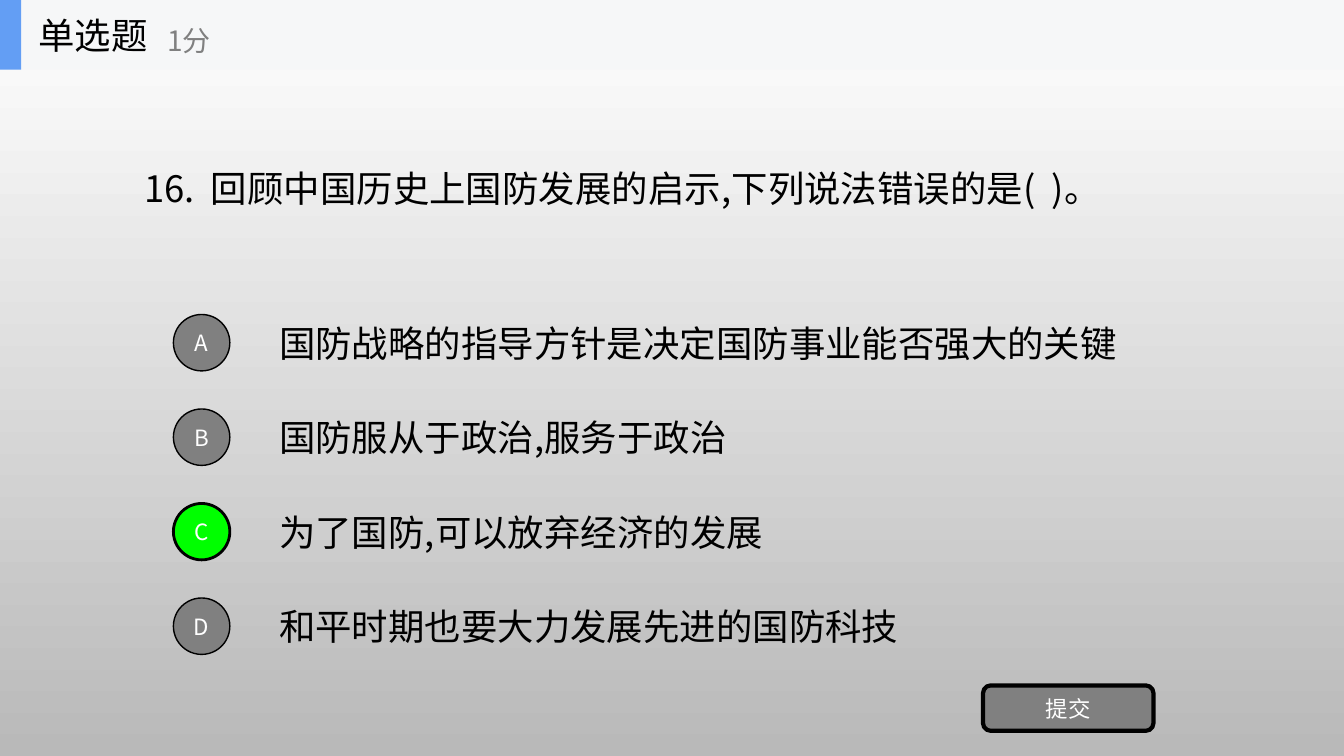
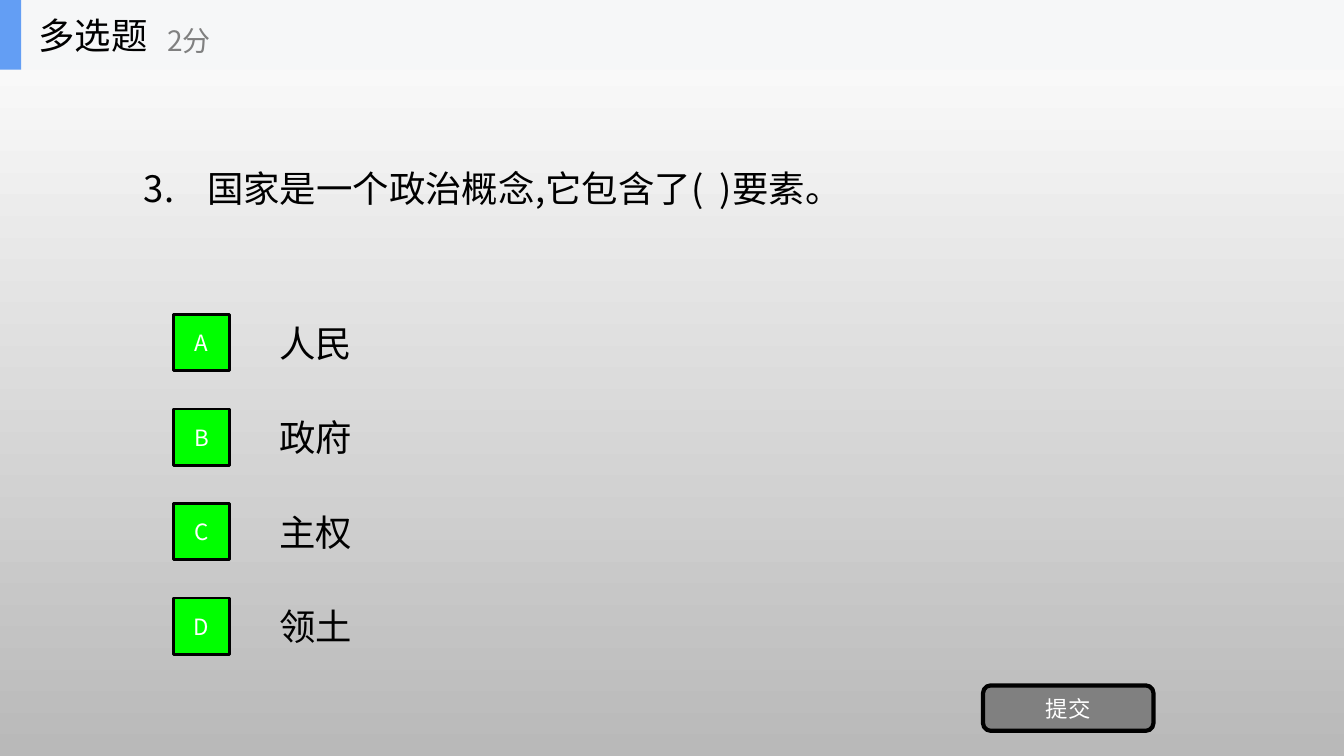
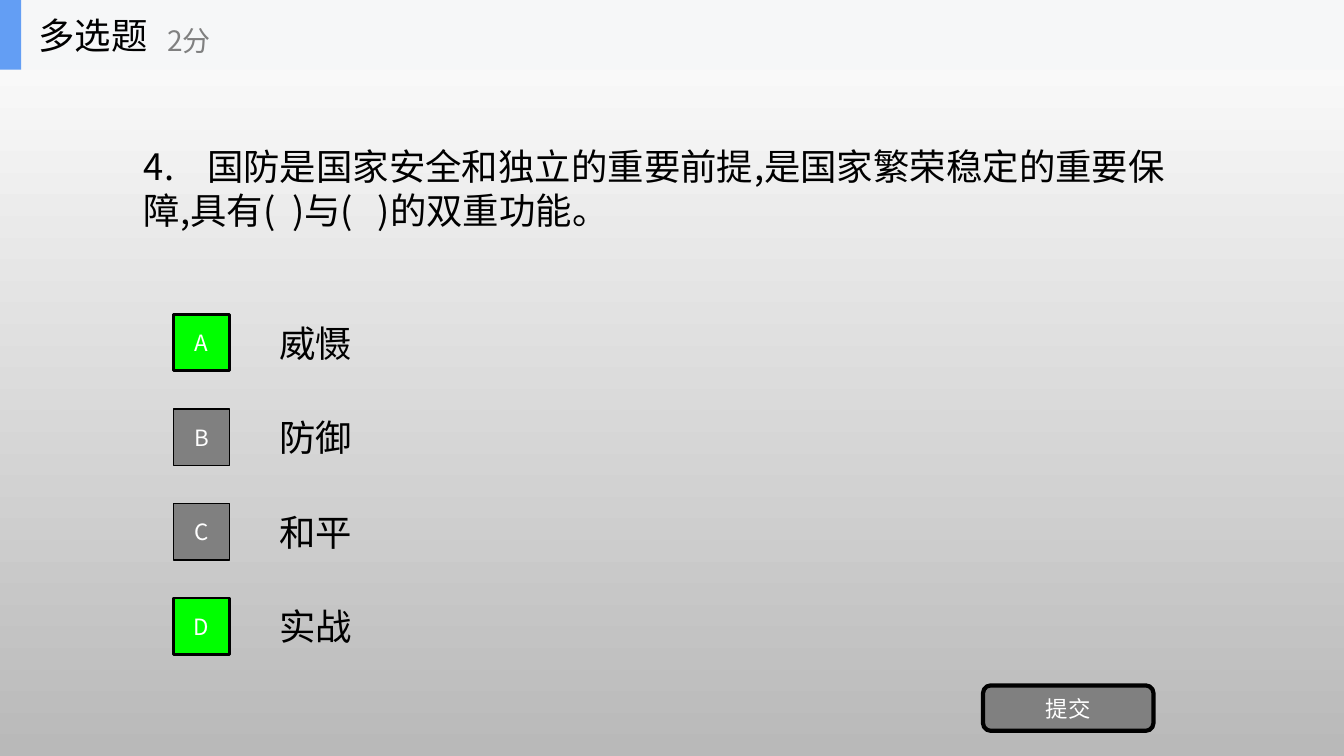
from lxml.etree import SubElement
from pptx import Presentation
from pptx.dml.color import RGBColor
from pptx.enum.shapes import MSO_SHAPE
from pptx.enum.text import MSO_ANCHOR, MSO_AUTO_SIZE, PP_ALIGN
from pptx.oxml.ns import qn
from pptx.util import Inches, Pt

# Content
QUESTIONS = [
    {
        "kind": "单选题", "points": "1分", "marker": MSO_SHAPE.OVAL,
        "question": "16.  回顾中国历史上国防发展的启示,下列说法错误的是(  )。",
        "width": 9.99, "lines": 1, "correct": "C",
        "options": ["国防战略的指导方针是决定国防事业能否强大的关键",
                    "国防服从于政治,服务于政治",
                    "为了国防,可以放弃经济的发展",
                    "和平时期也要大力发展先进的国防科技"],
    },
    {
        "kind": "多选题", "points": "2分", "marker": MSO_SHAPE.RECTANGLE,
        "question": "3.    国家是一个政治概念,它包含了(  )要素。",
        "width": 7.46, "lines": 1, "correct": "ABCD",
        "options": ["人民", "政府", "主权", "领土"],
    },
    {
        "kind": "多选题", "points": "2分", "marker": MSO_SHAPE.RECTANGLE,
        "question": "4.    国防是国家安全和独立的重要前提,是国家繁荣稳定的重要保障,"
                    "具有(  )与(   )的双重功能。",
        "width": 10.4, "lines": 2, "correct": "AD",
        "options": ["威慑", "防御", "和平", "实战"],
    },
]
SUBMIT = "提交"

# Shared look
FONT = "Noto Sans CJK SC"
BLACK, WHITE, GRAY, GREEN = "000000", "FFFFFF", "808080", "00FF00"
BAND, ACCENT, SHADE = "F6F7F8", "639EF4", "B9B9B9"
BODY = {"size": 26, "color": BLACK}
POINTS = {"size": 20, "color": GRAY}
LABEL = {"size": 16, "color": WHITE, "align": PP_ALIGN.CENTER}

# Grid, in inches
WIDTH, HEIGHT = 13.33, 7.5
BAND_HEIGHT = 0.69
LINE_HEIGHT, EXTRA_LINE = 0.53, 0.44
QUESTION_LEFT, QUESTION_MIDDLE = 1.33, 1.865
MARKER_LEFT, MARKER_SIZE, OPTION_LEFT = 1.72, 0.56, 2.67
FIRST_ROW, ROW_PITCH = 3.4, HEIGHT / 8


def rgb(value):
    return RGBColor.from_string(value)


def place(shape, *area):
    for name, length in zip(("left", "top", "width", "height"), area):
        setattr(shape, name, Inches(length))


def write(shape, text, size, color, align=PP_ALIGN.LEFT, wrap=True,
          fit=MSO_AUTO_SIZE.NONE):
    frame = shape.text_frame
    settings = {"word_wrap": wrap, "auto_size": fit,
                "vertical_anchor": MSO_ANCHOR.MIDDLE}
    for name, value in settings.items():
        setattr(frame, name, value)
    para = frame.paragraphs[0]
    para.alignment = align
    span = para.add_run()
    span.text = text
    for name, value in {"size": Pt(size), "name": FONT}.items():
        setattr(span.font, name, value)
    span.font.color.rgb = rgb(color)
    SubElement(span.font._element, qn("a:ea"), typeface=FONT)


def add_text(page, area, text, **style):
    box = page.shapes.add_textbox(*map(Inches, area))
    write(box, text, **style)


def add_block(page, preset, area, fill, line=0, text=None):
    block = page.shapes.add_shape(preset, *map(Inches, area))
    block.shadow.inherit = False
    block.fill.solid()
    block.fill.fore_color.rgb = rgb(fill)
    if line:
        block.line.color.rgb = rgb(BLACK)
        block.line.width = Pt(line)
    else:
        block.line.fill.background()
    if text:
        write(block, text, **LABEL)


def text_width(text):
    commas = text.count(",")
    return 0.31 + (len(text) - commas) * BODY["size"] / 72 + 0.09 * commas


def add_header(page, kind, points):
    for width, fill in ((WIDTH, BAND), (0.21, ACCENT)):
        add_block(page, MSO_SHAPE.RECTANGLE, (0, 0, width, BAND_HEIGHT), fill)
    title = page.shapes.title
    title.element.getparent().append(title.element)  # in front of the band
    place(title, 0.28, 0, 2.08, BAND_HEIGHT)
    write(title, kind, wrap=False, **BODY)
    add_text(page, (1.56, 0.12, 2.5, 0.56), points, wrap=False, **POINTS)


def add_question(page, item):
    grow = {"fit": MSO_AUTO_SIZE.SHAPE_TO_FIT_TEXT, **BODY}
    height = LINE_HEIGHT + (item["lines"] - 1) * EXTRA_LINE
    add_text(page, (QUESTION_LEFT, QUESTION_MIDDLE - height / 2,
                    item["width"], height), item["question"], **grow)
    for row, (letter, option) in enumerate(zip("ABCD", item["options"])):
        middle = FIRST_ROW + row * ROW_PITCH
        fill, line = (GREEN, 2) if letter in item["correct"] else (GRAY, 1)
        add_text(page, (OPTION_LEFT, middle - LINE_HEIGHT / 2,
                        text_width(option), LINE_HEIGHT), option, **grow)
        add_block(page, item["marker"],
                  (MARKER_LEFT, middle - MARKER_SIZE / 2, MARKER_SIZE, MARKER_SIZE),
                  fill, line, letter)
    add_block(page, MSO_SHAPE.ROUNDED_RECTANGLE, (9.75, 6.8, 1.69, 0.45),
              GRAY, 3, SUBMIT)


def main():
    deck = Presentation()
    deck.slide_width, deck.slide_height = Inches(WIDTH), Inches(HEIGHT)

    # Background for every slide: white at the top to gray at the bottom
    backdrop = deck.slide_master.background.fill
    backdrop.gradient()
    backdrop.gradient_angle = 270
    for stop, color in zip(backdrop.gradient_stops, (WHITE, SHADE)):
        stop.color.rgb = rgb(color)

    title_only = deck.slide_layouts[5]
    for item in QUESTIONS:
        page = deck.slides.add_slide(title_only)
        add_question(page, item)
        add_header(page, item["kind"], item["points"])
    deck.save("out.pptx")


if __name__ == "__main__":
    main()
